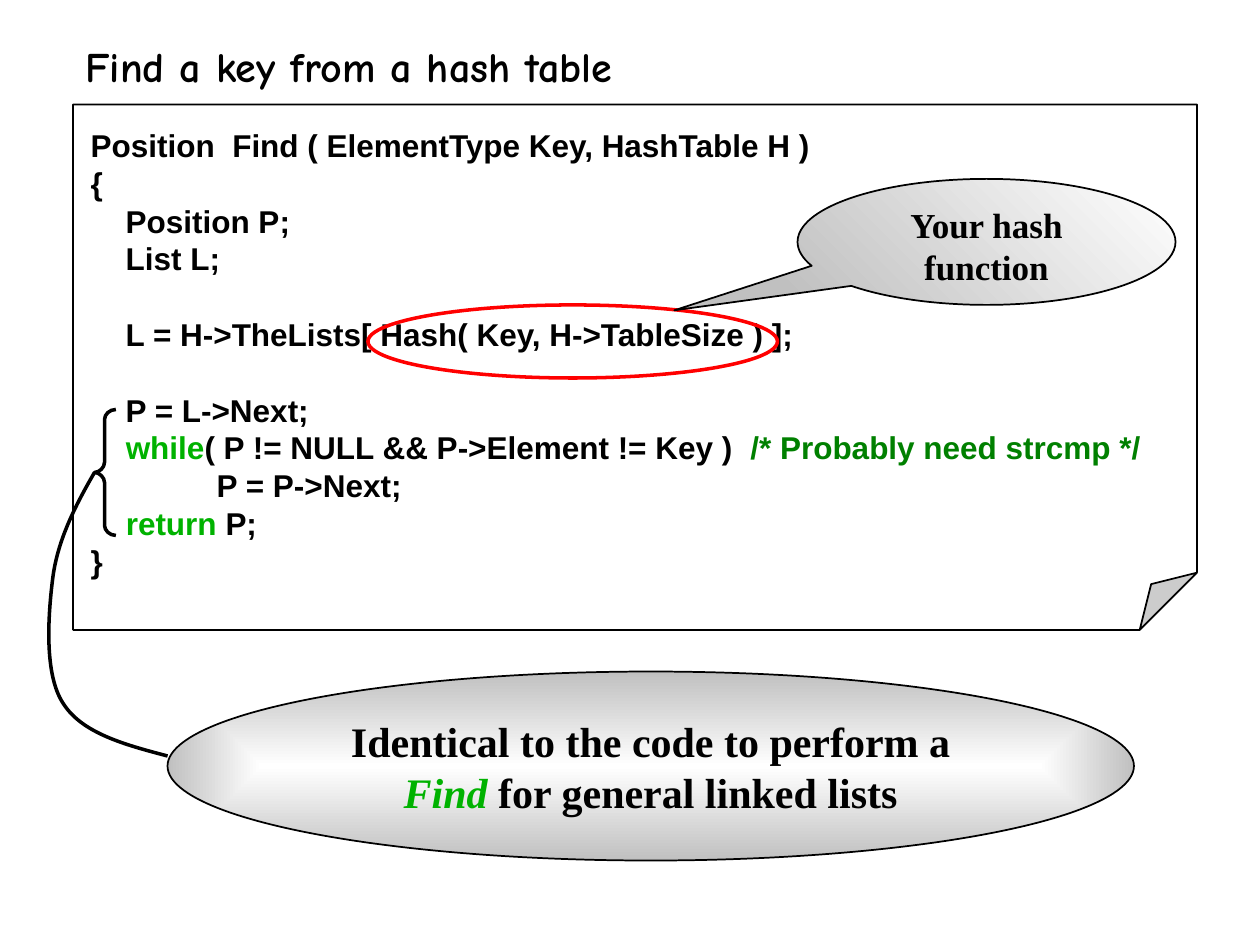
from lxml import etree
from pptx import Presentation
from pptx.dml.color import RGBColor
from pptx.enum.shapes import MSO_SHAPE as Preset
from pptx.enum.text import MSO_ANCHOR as Anchor, PP_ALIGN as Align
from pptx.oxml.ns import qn
from pptx.util import Inches, Pt

BLACK, WHITE, SILVER = "000000", "FFFFFF", "C0C0C0"
RED, KEYWORD, COMMENT = "FF0000", "00B200", "008000"
LINE_PITCH = 21.6

# Each code line is a list of (text, colour); None leaves an open line.
CODE = [
    [("Position  Find ( ElementType Key, HashTable H )", BLACK)],
    [("{", BLACK)],
    [("    Position P;", BLACK)],
    [("    List L;", BLACK)],
    None,
    [("    L = H->TheLists[ Hash( Key, H->TableSize ) ];", BLACK)],
    None,
    [("    P = L->Next;", BLACK)],
    [("    ", BLACK), ("while", KEYWORD),
     ("( P != NULL && P->Element != Key )  ", BLACK),
     ("/* Probably need strcmp */", COMMENT)],
    [("\tP = P->Next;", BLACK)],
    [("    ", BLACK), ("return", KEYWORD), (" P;", BLACK)],
    [("}", BLACK)],
]


def color(value):
    return RGBColor.from_string(value)


def add_run(paragraph, text, font="Times New Roman", size=24, fill=BLACK, italic=False):
    run = paragraph.add_run()
    run.text = text
    run.font.name, run.font.size = font, Pt(size)
    run.font.bold, run.font.italic = True, italic
    run.font.color.rgb = color(fill)


def set_frame(shape, left=0.1, top=0.05, anchor=Anchor.TOP):
    frame = shape.text_frame
    frame.word_wrap = True
    frame.vertical_anchor = anchor
    frame.margin_left, frame.margin_top = Inches(left), Inches(top)
    frame.margin_right, frame.margin_bottom = Inches(0.1), Inches(0.05)
    return frame


def add_preset(slide, preset, box, fill=None, line=BLACK, width=1):
    shape = slide.shapes.add_shape(preset, *map(Inches, box))
    shape.shadow.inherit = False
    if fill:
        shape.fill.solid()
        shape.fill.fore_color.rgb = color(fill)
    else:
        shape.fill.background()
    shape.line.color.rgb = color(line)
    shape.line.width = Pt(width)
    return shape


def set_gradient(shape, colors, angle=0, from_center=False):
    shape.fill.gradient()
    for stop, value in zip(shape.fill.gradient_stops, colors):
        stop.color.rgb = color(value)
    shape.fill.gradient_angle = angle
    if from_center:
        gradient = shape._element.spPr.find(qn("a:gradFill"))
        linear = gradient.find(qn("a:lin"))
        center = etree.Element(qn("a:path"), {"path": "rect"})
        etree.SubElement(center, qn("a:fillToRect"), dict.fromkeys("ltrb", "50000"))
        gradient.replace(linear, center)


def add_curve(slide, points, segments):
    """Draw points as segments: C takes three points, L takes one."""
    points = [(Inches(x), Inches(y)) for x, y in points]
    builder = slide.shapes.build_freeform(*points[0])
    builder.add_line_segments(points[1:], close=False)
    shape = builder.convert_to_shape()
    steps = iter(list(shape._element.iter(qn("a:lnTo"))))
    for segment in segments:
        step = next(steps)
        if segment == "C":
            step.tag = qn("a:cubicBezTo")
            for _ in range(2):
                other = next(steps)
                step.append(other[0])
                other.getparent().remove(other)
    shape.shadow.inherit = False
    shape.fill.background()
    shape.line.color.rgb = color(BLACK)
    shape.line.width = Pt(2)


def add_title(slide, box):
    frame = set_frame(slide.shapes.add_textbox(*map(Inches, box)))
    add_run(frame.paragraphs[0], "Find a key from a hash table", font="Comic Neue")


def add_code_page(slide, box):
    page = add_preset(slide, Preset.FOLDED_CORNER, box, fill=WHITE)
    # Size of the folded corner, which has no public adjustment
    guides = next(page._element.iter(qn("a:avLst")))
    etree.SubElement(guides, qn("a:gd"), {"name": "adj", "fmla": "val 10900"})
    frame = set_frame(page, left=0.14, top=0.17)
    paragraph, gap = frame.paragraphs[0], 0
    for number, line in enumerate(CODE):
        if line is None:
            gap = LINE_PITCH
            continue
        if number:
            paragraph = frame.add_paragraph()
        tabs = etree.SubElement(paragraph._p.get_or_add_pPr(), qn("a:tabLst"))
        etree.SubElement(tabs, qn("a:tab"), {"pos": str(Inches(1)), "algn": "l"})
        paragraph.alignment = Align.LEFT
        paragraph.line_spacing = Pt(LINE_PITCH)
        if gap:
            paragraph.space_before = Pt(gap)
        gap = 0
        for text, fill in line:
            add_run(paragraph, text, font="Arial", size=18, fill=fill)


def add_hash_callout(slide, box):
    left, top, width, height = box
    # Ring around the hash call
    ring_box = (left, top + height - 0.58, 3.25, 0.58)
    add_preset(slide, Preset.OVAL, ring_box, line=RED, width=2)
    # Callout pointing at the ring
    callout_box = (left + width - 3, top, 3, 1)
    callout = add_preset(slide, Preset.OVAL_CALLOUT, callout_box, fill=WHITE)
    callout.adjustments[0], callout.adjustments[1] = -0.826, 0.543
    set_gradient(callout, (SILVER, WHITE), angle=45)
    paragraph = set_frame(callout).paragraphs[0]
    paragraph.alignment = Align.CENTER
    add_run(paragraph, "Your hash function", size=20)


def add_list_note(slide, box):
    left, top, width, height = box

    def place(points):
        return [(left + x, top + y) for x, y in points]

    # Brace beside the loop
    upper = [(0.57, 0), (0.52, 0), (0.48, 0.04), (0.48, 0.08),
             (0.48, 0.42), (0.48, 0.46), (0.44, 0.5), (0.4, 0.5)]
    lower = [(x, 1 - y) for x, y in reversed(upper[:-1])]
    add_curve(slide, place(upper + lower), "CLCCLC")
    # Curve from the brace to the note
    add_curve(slide, place([
        (0.4, 0.5), (0.25, 0.76), (0.11, 1.03), (0.07, 1.33),
        (0.03, 1.64), (0, 2.1), (0.15, 2.33),
        (0.3, 2.57), (0.64, 2.66), (0.98, 2.75)]), "CCC")
    # Note
    note_box = (left + width - 7.67, top + height - 1.5, 7.67, 1.5)
    note = add_preset(slide, Preset.OVAL, note_box, fill=WHITE)
    set_gradient(note, (WHITE, SILVER), from_center=True)
    paragraph = set_frame(note, anchor=Anchor.MIDDLE).paragraphs[0]
    paragraph.alignment = Align.CENTER
    add_run(paragraph, "Identical to the code to perform a ")
    add_run(paragraph, "Find", fill=KEYWORD, italic=True)
    add_run(paragraph, " for general linked lists")


def main():
    presentation = Presentation()
    presentation.slide_width, presentation.slide_height = Inches(10), Inches(7.5)
    slide = presentation.slides.add_slide(presentation.slide_layouts[6])
    add_title(slide, (0.58, 0.27, 5.08, 0.5))
    add_code_page(slide, (0.58, 0.83, 8.92, 4.17))
    add_hash_callout(slide, (2.92, 1.42, 6.41, 1.58))
    add_list_note(slide, (0.35, 3.25, 8.65, 3.58))
    presentation.save("out.pptx")


if __name__ == "__main__":
    main()
